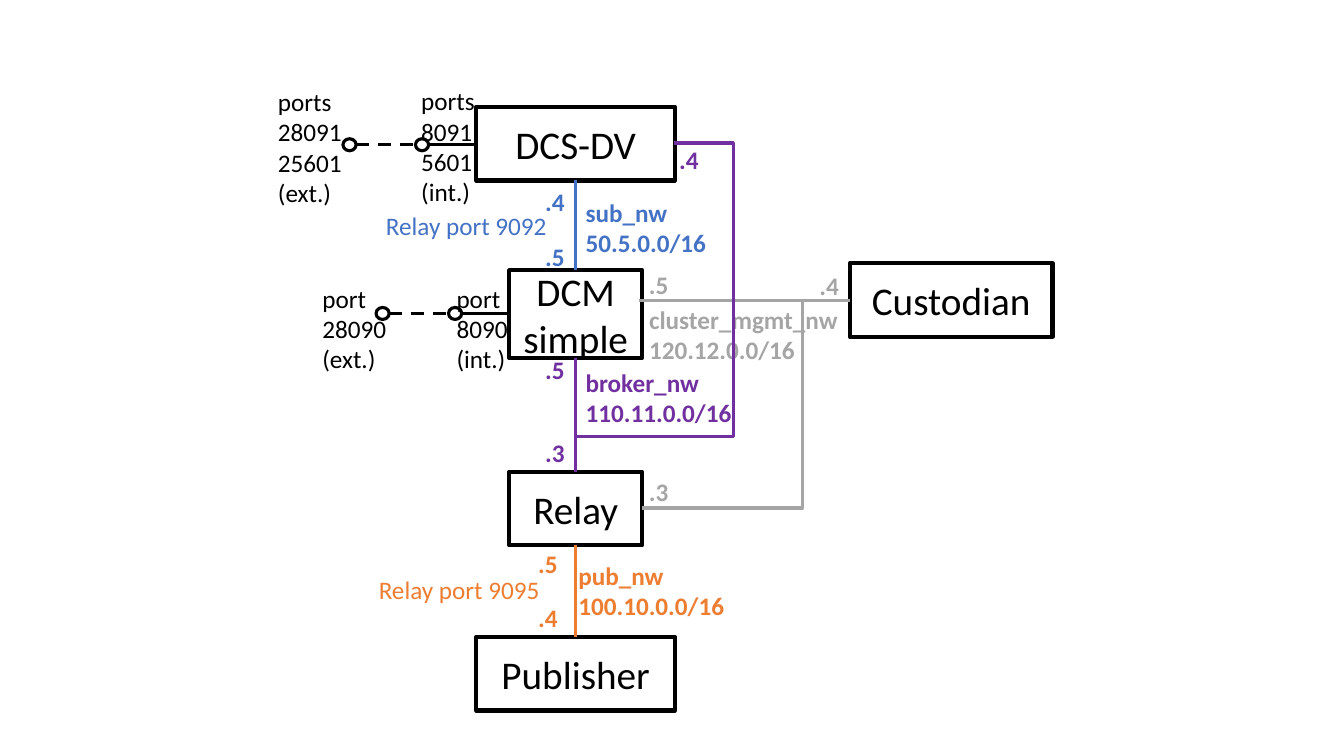
"""Build the network diagram slide of the message relay deployment."""
import lxml.etree
import pptx
import pptx.dml.color
import pptx.enum.dml
import pptx.enum.shapes
import pptx.enum.text
import pptx.oxml.ns
import pptx.util

Pt = pptx.util.Pt
RGBColor = pptx.dml.color.RGBColor
BLACK = RGBColor(0, 0, 0)
WHITE = RGBColor(255, 255, 255)
BLUE = RGBColor(0x44, 0x72, 0xC4)
PURPLE = RGBColor(0x70, 0x30, 0xA0)
GREY = RGBColor(0xA5, 0xA5, 0xA5)
ORANGE = RGBColor(0xED, 0x7D, 0x31)

TRUNK = 411.2
LINE_HEIGHT = 21.8
ADDRESS_WIDTH = 28.8
RING_WIDTH, RING_HEIGHT = 9.4, 8.6

NODES = [
    ("DCS-DV", TRUNK, 76.3, 141.8, 52.6),
    ("DCM simple", TRUNK, 193, 95, 62.6),
    ("Relay", TRUNK, 337, 95, 52.6),
    ("Publisher", TRUNK, 455, 141.8, 52.6),
    ("Custodian", 679.4, 188, 144.7, 52.6),
]
NETWORKS = [
    (["sub_nw", "50.5.0.0/16"], 411.2, 137.5, 101.5, BLUE),
    (["broker_nw", "110.11.0.0/16"], 411.2, 258.5, 119.5, PURPLE),
    (["cluster_mgmt_nw", "120.12.0.0/16"], 456.5, 213.8, 150.5, GREY),
    (["pub_nw", "100.10.0.0/16"], 406, 396.7, 119.5, ORANGE),
]
ADDRESSES = [
    (".4", 382.3, 129.6, BLUE), (".5", 382.3, 168.5, BLUE),
    (".5", 382.3, 249.8, PURPLE), (".3", 382.3, 308.9, PURPLE),
    (".4", 478.1, 99.4, PURPLE),
    (".4", 578.2, 189.4, GREY), (".5", 456.5, 188.6, GREY),
    (".3", 456.5, 337, GREY),
    (".5", 377.3, 388.1, ORANGE), (".4", 377.3, 427, ORANGE),
]
RELAY_PORTS = [
    ("Relay port 9092", 268.6, 146.9, BLUE),
    ("Relay port 9095", 263.5, 406.8, ORANGE),
]
STRAIGHT_LINKS = [
    ((TRUNK, 128.9), (TRUNK, 193), BLUE),
    ((TRUNK, 255.6), (TRUNK, 337), PURPLE),
    ((TRUNK, 389.6), (TRUNK, 455), ORANGE),
    ((456.5, 214.6), (607, 214.6), GREY),
]
BENT_LINKS = [
    ((458.6, 362.9), (573.1, 214.6), GREY, "bentConnector2", []),
    ((481.7, 102.2), (411.8, 311), PURPLE, "bentConnector4", [-60400, 100400]),
]
PORT_GROUPS = [
    (340, 103.4, [
        (["ports", "28091", "25601", "(ext.)"], 191.5, 58.3, 60.5),
        (["ports", "8091", "5601", "(int.)"], 293.8, 57.6, 57.6)]),
    (363.6, 223.9, [
        (["port", "28090", "(ext.)"], 223.2, 198.7, 60.5),
        (["port", "8090", "(int.)"], 319, 198.7, 51.1)]),
]

presentation = pptx.Presentation()
presentation.slide_width = Pt(960)
presentation.slide_height = Pt(540)
slide = presentation.slides.add_slide(presentation.slide_layouts[6])


def write(frame, lines, size=18, color=BLACK, bold=False, align=None):
    for index, line in enumerate(lines):
        paragraph = frame.add_paragraph() if index else frame.paragraphs[0]
        paragraph.alignment = align
        run = paragraph.add_run()
        run.text = line
        run.font.name = "Calibri"
        run.font.size = Pt(size)
        run.font.bold = bold
        run.font.color.rgb = color


def add_label(lines, left, top, width, **text_format):
    height = len(lines) * LINE_HEIGHT + 7.2
    frame = slide.shapes.add_textbox(Pt(left), Pt(top), Pt(width), Pt(height)).text_frame
    frame.word_wrap = False
    frame.auto_size = pptx.enum.text.MSO_AUTO_SIZE.SHAPE_TO_FIT_TEXT
    write(frame, lines, **text_format)


def add_outline(kind, left, top, width, height, weight):
    shape = slide.shapes.add_shape(kind, Pt(left), Pt(top), Pt(width), Pt(height))
    shape.shadow.inherit = False
    shape.fill.solid()
    shape.fill.fore_color.rgb = WHITE
    shape.line.color.rgb = BLACK
    shape.line.width = Pt(weight)
    return shape


def add_link(start, end, color, preset="line", adjustments=(), dashed=False):
    connector = slide.shapes.add_connector(
        pptx.enum.shapes.MSO_CONNECTOR.STRAIGHT, *map(Pt, start + end))
    connector.line.color.rgb = color
    connector.line.width = Pt(2.25)
    if dashed:
        connector.line.dash_style = pptx.enum.dml.MSO_LINE.DASH
    qualify = pptx.oxml.ns.qn
    properties = connector._element.spPr
    lxml.etree.SubElement(properties, qualify("a:effectLst"))
    geometry = properties.find(qualify("a:prstGeom"))
    geometry.set("prst", preset)
    for number, value in enumerate(adjustments, 1):
        guide = lxml.etree.SubElement(geometry.find(qualify("a:avLst")), qualify("a:gd"))
        guide.set("name", f"adj{number}")
        guide.set("fmla", f"val {value}")


for name, center, top, width, height in NODES:
    node = add_outline(pptx.enum.shapes.MSO_SHAPE.RECTANGLE,
                       center - width / 2, top, width, height, 3)
    node.text_frame.word_wrap = True
    node.text_frame.vertical_anchor = pptx.enum.text.MSO_ANCHOR.MIDDLE
    write(node.text_frame, [name], size=28, align=pptx.enum.text.PP_ALIGN.CENTER)

for lines, left, top, width, color in NETWORKS:
    add_label(lines, left, top, width, color=color, bold=True)
for address, left, top, color in ADDRESSES:
    add_label([address], left, top, ADDRESS_WIDTH, color=color, bold=True)
for port, left, top, color in RELAY_PORTS:
    add_label([port], left, top, 132.5, color=color)

for link in STRAIGHT_LINKS + BENT_LINKS:
    add_link(*link)

for edge, middle, labels in PORT_GROUPS:
    inner = edge - 43.2
    outer = inner - 51.8
    add_link((inner + RING_WIDTH, middle), (edge, middle), BLACK)
    add_link((outer + RING_WIDTH, middle), (inner, middle), BLACK, dashed=True)
    for ring_left in (outer, inner):
        add_outline(pptx.enum.shapes.MSO_SHAPE.OVAL, ring_left,
                    middle - RING_HEIGHT / 2, RING_WIDTH, RING_HEIGHT, 2.25)
    for label in labels:
        add_label(*label)

presentation.save("out.pptx")
